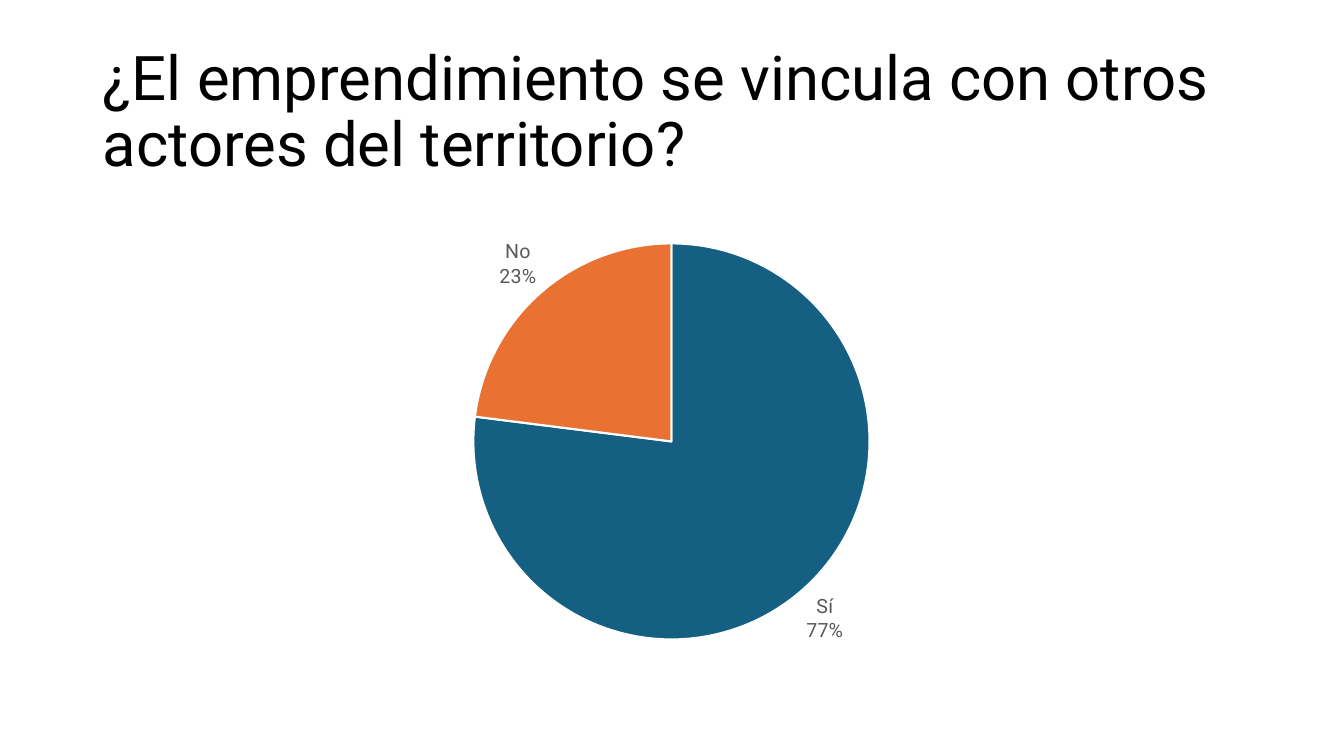
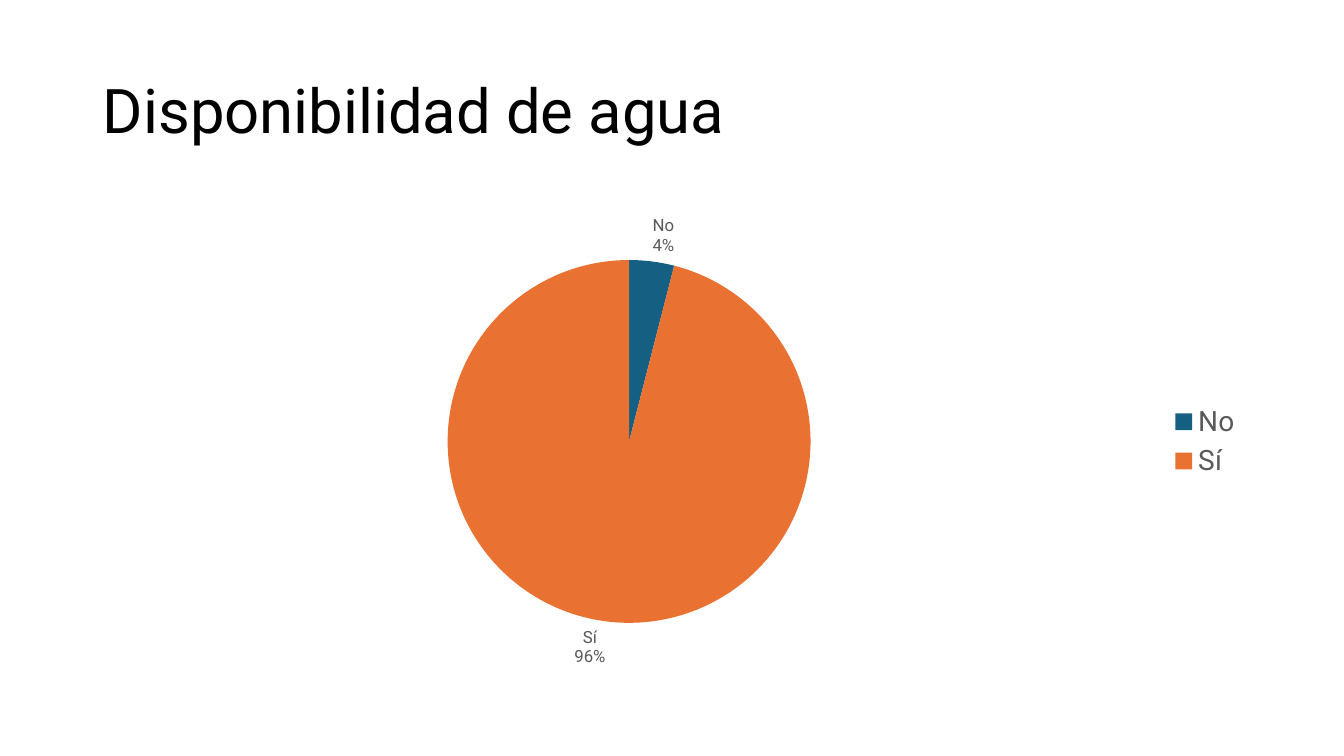
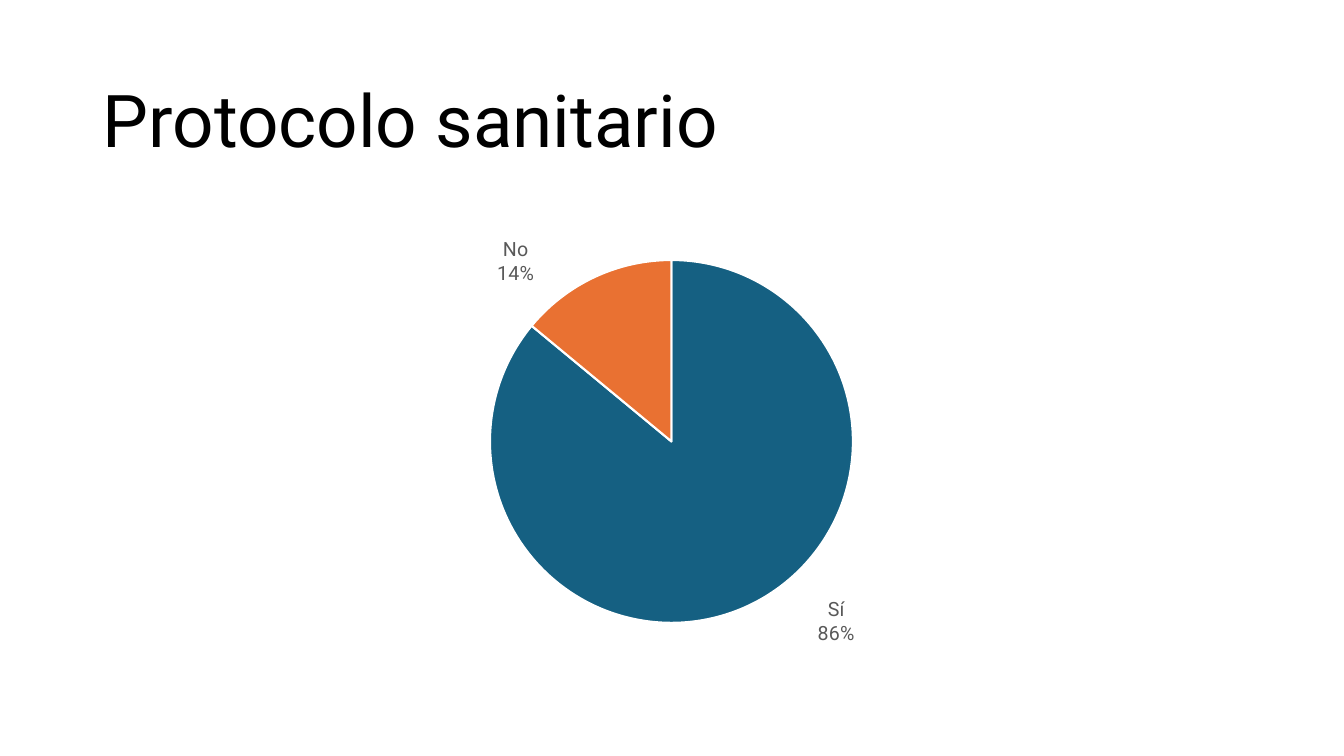
from copy import deepcopy
from lxml.etree import SubElement
from pptx import Presentation
from pptx.chart.data import CategoryChartData
from pptx.dml.color import RGBColor
from pptx.enum.chart import XL_CHART_TYPE, XL_LABEL_POSITION, XL_LEGEND_POSITION
from pptx.enum.text import MSO_ANCHOR, MSO_AUTO_SIZE, PP_ALIGN
from pptx.oxml import parse_xml
from pptx.oxml.ns import nsdecls, qn
from pptx.util import Inches, Pt

BLACK = RGBColor(0x00, 0x00, 0x00)
WHITE = RGBColor(0xFF, 0xFF, 0xFF)
GRAY = RGBColor(0x59, 0x59, 0x59)
BLUE = RGBColor(0x15, 0x60, 0x82)
ORANGE = RGBColor(0xE9, 0x71, 0x32)
FACE = "Roboto"
LEFT, WIDE = 0.92, 11.5
BODY = (LEFT, 2, WIDE, 4.76)


def style(font, size, color):
    font.name = FACE
    font.size = Pt(size)
    font.color.rgb = color


def add_title(slide, text, top, size):
    title = slide.shapes.title
    title.left, title.top = Inches(LEFT), Inches(top)
    title.width, title.height = Inches(WIDE), Inches(1.85 - top)
    frame = title.text_frame
    frame.text = text
    frame.word_wrap = True
    frame.auto_size = MSO_AUTO_SIZE.NONE
    frame.vertical_anchor = MSO_ANCHOR.MIDDLE
    line = frame.paragraphs[0]
    line.alignment = PP_ALIGN.LEFT
    line.line_spacing = 0.9
    style(line.font, size, BLACK)


def make_layout(rules):
    layout = parse_xml(f"<c:layout {nsdecls('c')}/>")
    manual = SubElement(layout, qn("c:manualLayout"))
    for name, value in rules.items():
        SubElement(manual, qn(f"c:{name}")).set("val", str(value))
    return layout


def set_plot(chart, box, center, across):
    width, height = box[2:]
    area = chart._chartSpace.chart.plotArea
    for old in area.findall(qn("c:layout")):
        area.remove(old)
    area.insert(0, make_layout({
        "layoutTarget": "inner", "xMode": "edge", "yMode": "edge",
        "x": (center - across / 2) / width, "y": 0.5 - across / 2 / height,
        "w": across / width, "h": across / height,
    }))


def add_labels(series, size, box, shifts):
    labels = series.data_labels
    labels.show_value = False
    labels.show_category_name = True
    labels.show_percentage = True
    labels.number_format = "0%"
    labels.number_format_is_linked = False
    labels.position = XL_LABEL_POSITION.OUTSIDE_END
    style(labels.font, size, GRAY)
    group = labels._element
    mark = parse_xml(f"<c:separator {nsdecls('c')}>\n</c:separator>")
    group.find(qn("c:showBubbleSize")).addnext(mark)
    for lead in group.findall(qn("c:showLeaderLines")):
        lead.set("val", "0")
    parts = [part for part in group if part.tag != qn("c:showLeaderLines")]
    for index, (right, down) in enumerate(shifts):
        label = parse_xml(f"<c:dLbl {nsdecls('c')}/>")
        SubElement(label, qn("c:idx")).set("val", str(index))
        label.append(make_layout({"x": right / box[2], "y": down / box[3]}))
        label.extend(deepcopy(part) for part in parts)
        group.insert(index, label)


def add_pie(slide, box, shares, across, center, size, legend, shifts):
    data = CategoryChartData()
    data.categories = list(shares)
    data.add_series("Series 1", list(shares.values()))
    place = [Inches(side) for side in box]
    chart = slide.shapes.add_chart(XL_CHART_TYPE.PIE, *place, data).chart
    chart.has_title = False
    style(chart.font, 10, BLACK)
    chart.has_legend = legend
    if legend:
        chart.legend.position = XL_LEGEND_POSITION.RIGHT
        chart.legend.include_in_layout = False
        style(chart.legend.font, 20, GRAY)
    plot = chart.plots[0]
    plot.vary_by_categories = True
    series = plot.series[0]
    for index, color in enumerate((BLUE, ORANGE)):
        form = series.points[index].format
        form.fill.solid()
        form.fill.fore_color.rgb = color
        if legend:
            form.line.fill.background()
        else:
            form.line.color.rgb = WHITE
            form.line.width = Pt(1.5)
    add_labels(series, size, box, shifts)
    set_plot(chart, box, center, across)


def add_page(deck, text, shares, top=0.4, head=44, across=3.6,
             center=5.74, size=14, legend=False, shifts=()):
    slide = deck.slides.add_slide(deck.slide_layouts[5])
    add_title(slide, text, top, head)
    add_pie(slide, BODY, shares, across, center, size, legend, shifts)


def main():
    deck = Presentation()
    deck.slide_width, deck.slide_height = Inches(13.33), Inches(7.5)
    add_page(deck, "¿El emprendimiento se vincula con otros actores del territorio?",
             {"Sí": 77, "No": 23}, across=3.93)
    add_page(deck, "Disponibilidad de agua", {"No": 4, "Sí": 96},
             center=5.32, size=12, legend=True)
    add_page(deck, "Protocolo sanitario", {"Sí": 86, "No": 14}, top=0.61, head=52,
             shifts=((0.66, -0.13), (-0.57, 0.14)))
    deck.save("out.pptx")


if __name__ == "__main__":
    main()
